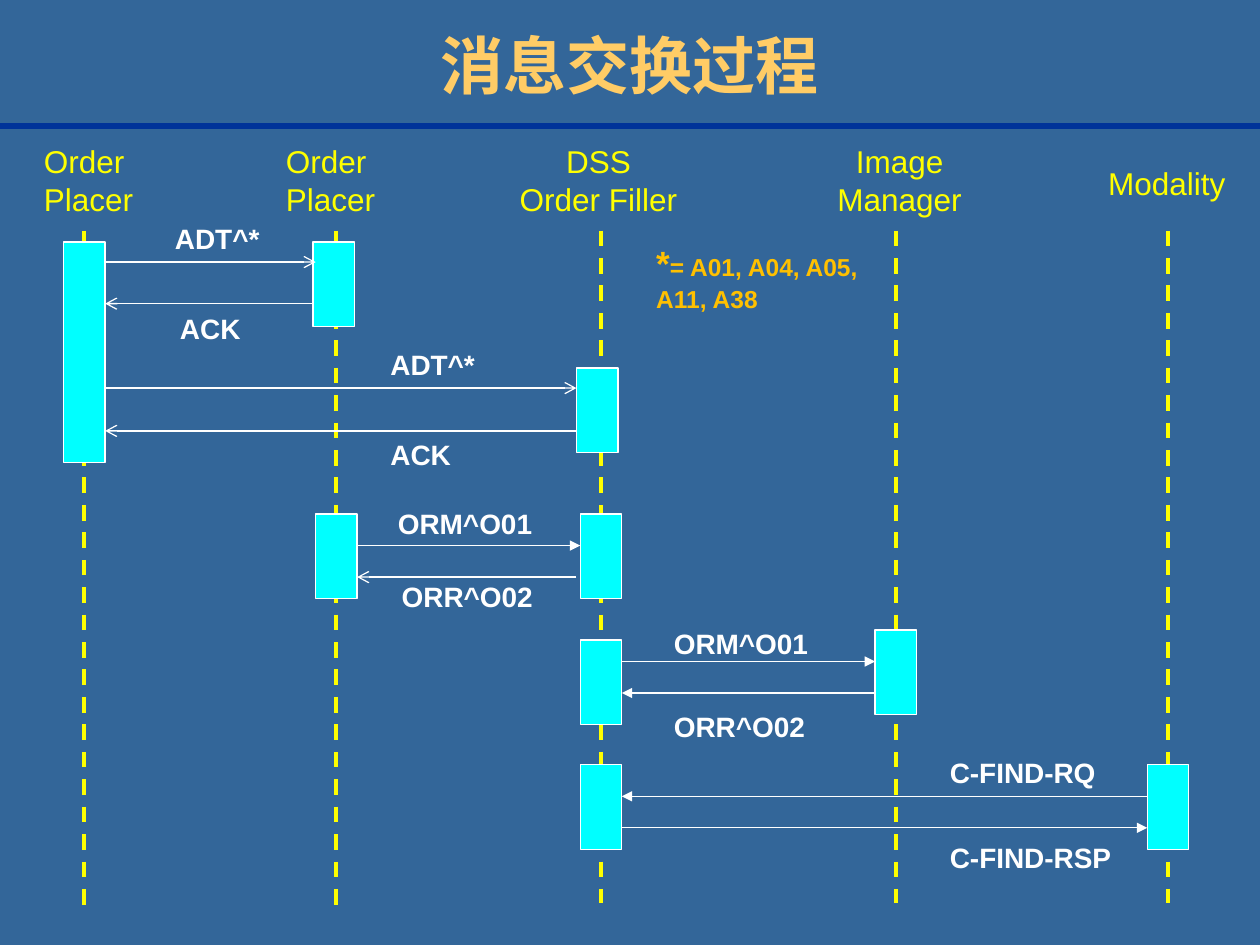
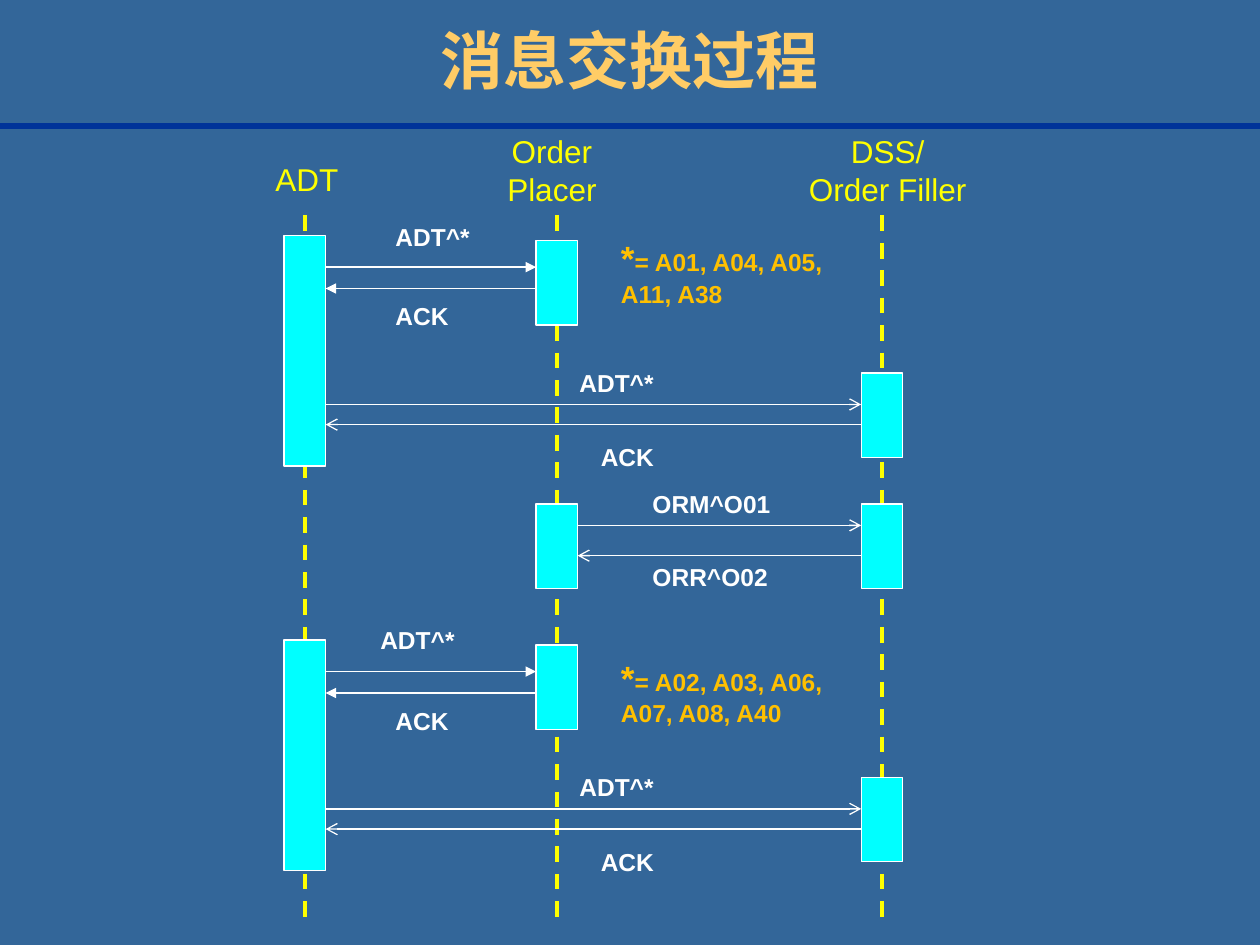
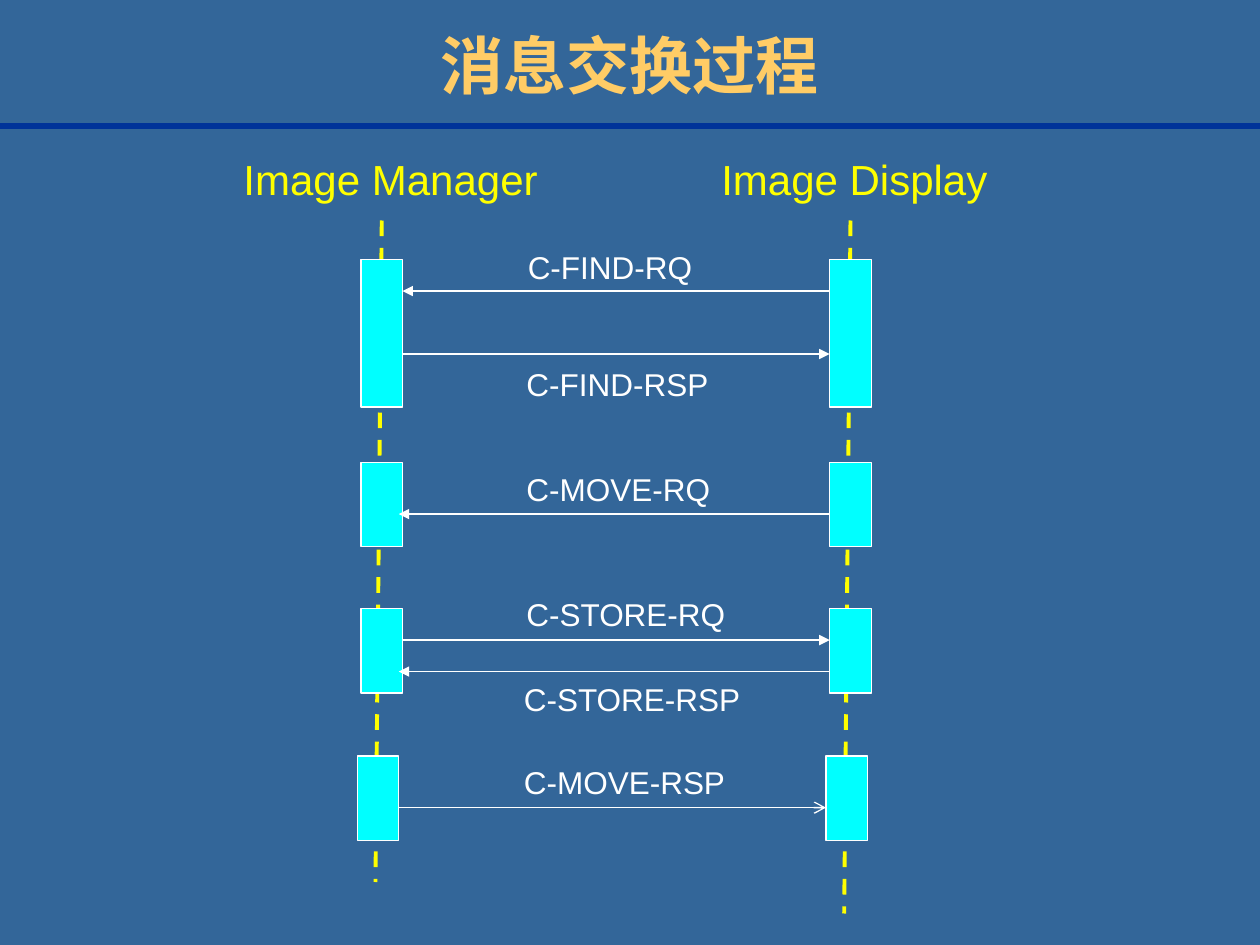
from lxml import etree
from pptx import Presentation
from pptx import util as u
from pptx.dml.color import RGBColor
from pptx.enum import dml, shapes, text
from pptx.oxml.ns import qn

WIDTH, HEIGHT = 10, 7.5
BACKGROUND, RULE, TITLE = "336699", "003399", "FFCC66"
WHITE, YELLOW, CYAN, AMBER = "FFFFFF", "FFFF00", "00FFFF", "FFC000"
BAR = 0.33       # width of an activation bar
STEP = 0.67      # height of a single-exchange bar
LEFT, CENTER = text.PP_ALIGN.LEFT, text.PP_ALIGN.CENTER
hue = RGBColor.from_string


def write(slide, words, left, top, width, height=None, size=18, color=WHITE,
          bold=False, align=LEFT, lead=None):
    """Put text in a box, one paragraph a line; lead sizes the first character."""
    lines = words.split("\n")
    points = size * len(lines) + (lead - size if lead else 0)
    box = slide.shapes.add_textbox(u.Inches(left), u.Inches(top), u.Inches(width),
                                   u.Inches(height or points / 60 + 0.1))
    frame = box.text_frame
    frame.word_wrap = height is not None
    if height:
        frame.vertical_anchor = text.MSO_ANCHOR.MIDDLE
    else:
        frame.auto_size = text.MSO_AUTO_SIZE.SHAPE_TO_FIT_TEXT
    for row, line in enumerate(lines):
        paragraph = frame.add_paragraph() if row else frame.paragraphs[0]
        paragraph.alignment = align
        parts = [(line, size)]
        if lead and row == 0:
            parts = [(line[0], lead), (line[1:], size)]
        for words_part, points in parts:
            run = paragraph.add_run()
            run.text = words_part
            run.font.name = "Arial"
            run.font.size = u.Pt(points)
            run.font.bold = bold
            run.font.color.rgb = hue(color)


def connect(slide, x1, y1, x2, y2, color, weight, head=None, dashed=False):
    line = slide.shapes.add_connector(shapes.MSO_CONNECTOR.STRAIGHT,
                                      *map(u.Inches, (x1, y1, x2, y2)))
    line.line.color.rgb = hue(color)
    line.line.width = u.Pt(weight)
    if dashed:
        line.line.dash_style = dml.MSO_LINE.DASH
    properties = line._element.spPr
    if head:
        etree.SubElement(properties.find(qn("a:ln")), qn("a:tailEnd"), type=head)
    etree.SubElement(properties, qn("a:effectLst"))


# Actors: heading, left, top, width, alignment
# Lifelines: top x, bottom x, top, bottom
# Bars: lane centre, top, height
# Messages: from lane, to lane, y, arrowhead, label, label left, top, width
# Notes: words, left, top
placer, order, filler, manager, modality = 0.67, 2.67, 4.77, 7.11, 9.27
early_order, early_filler = order - 0.02, filler - 0.03
scheduling = dict(
    title_top=0.04, actor_size=18, label_size=16, bold=True,
    actors=[("Order\nPlacer", 0.25, 1.08, 0.92, LEFT),
            ("Order\nPlacer", 2.17, 1.08, 0.92, LEFT),
            ("DSS\nOrder Filler", 4.02, 1.08, 1.46, CENTER),
            ("Image\nManager", 6.52, 1.08, 1.24, CENTER),
            ("Modality", 8.69, 1.25, 1.14, CENTER)],
    lifelines=[(placer, placer, 1.83, 7.25), (order, order, 1.83, 7.25)]
    + [(lane, lane, 1.83, 7.17) for lane in (filler, manager, modality)],
    bars=[(placer, 1.92, 1.75), (early_order, 1.92, STEP), (early_filler, 2.92, STEP),
          (order, 4.08, STEP), (filler, 4.08, STEP), (filler, 5.08, STEP),
          (manager, 5, STEP), (filler, 6.07, STEP), (modality, 6.07, STEP)],
    messages=[
        (placer, order, 2.08, "arrow", "ADT^*", 1.29, 1.71, 0.88),
        (early_order, placer, 2.41, "arrow", "ACK", 1.33, 2.42, 0.69),
        (placer, early_filler, 3.08, "arrow", "ADT^*", 3, 2.71, 0.88),
        (early_filler, placer, 3.42, "arrow", "ACK", 3, 3.42, 0.69),
        (order, filler, 4.33, "triangle", "ORM^O01", 3.06, 3.97, 1.27),
        (early_filler, order, 4.58, "arrow", "ORR^O02", 3.09, 4.55, 1.24),
        (filler, manager, 5.25, "triangle", "ORM^O01", 5.25, 4.92, 1.27),
        (manager, filler, 5.5, "triangle", "ORR^O02", 5.25, 5.58, 1.24),
        (modality, filler, 6.32, "triangle", "C-FIND-RQ", 7.44, 5.95, 1.36),
        (filler, modality, 6.57, "triangle", "C-FIND-RSP", 7.44, 6.62, 1.48)],
    notes=[("*= A01, A04, A05,\nA11, A38", 5.11, 1.87)])

adt, order, filler = 2.42, 4.42, 7
admission = dict(
    title_top=0, actor_size=18, label_size=14, bold=True,
    actors=[("ADT", 2.08, 1.22, 0.71, CENTER),
            ("Order\nPlacer", 3.92, 1, 0.92, CENTER),
            ("DSS/\nOrder Filler", 6.17, 1, 1.75, CENTER)],
    lifelines=[(lane, lane, 1.71, 7.37) for lane in (adt, order, filler)],
    bars=[(order, 4, STEP), (filler, 4, STEP)],
    messages=[(order, filler, 4.17, "arrow", "ORM^O01", 5.08, 3.83, 1.14),
              (filler, order, 4.41, "arrow", "ORR^O02", 5.08, 4.41, 1.12)],
    notes=[("*= A01, A04, A05,\nA11, A38", 4.83, 1.83),
           ("*= A02, A03, A06,\nA07, A08, A40", 4.83, 5.16)])
# The admission exchange runs twice, with its first label moved in the second
for top, label_left, label_top in ((1.87, 3.04, 1.71), (5.08, 2.92, 4.91)):
    admission["bars"] += [(adt, top, 1.83), (order, top + 0.04, STEP),
                          (filler, top + 1.09, STEP)]
    admission["messages"] += [
        (adt, order, top + 0.25, "triangle", "ADT^*", label_left, label_top, 0.8),
        (order, adt, top + 0.42, "triangle", "ACK", 3.04, top + 0.47, 0.63),
        (adt, filler, top + 1.34, "arrow", "ADT^*", 4.5, top + 1, 0.8),
        (filler, adt, top + 1.5, "arrow", "ACK", 4.67, top + 1.59, 0.63)]

manager, display = 3.03, 6.75
late_manager, late_display = manager - 0.03, display - 0.03
retrieval = dict(
    title_top=0.04, actor_size=24, label_size=18, bold=False,
    actors=[("Image Manager", 1.83, 1.17, 2.54, CENTER),
            ("Image Display", 5.62, 1.17, 2.32, CENTER)],
    lifelines=[(manager, 2.98, 1.75, 7), (display, 6.7, 1.75, 7.25)],
    bars=[(lane, top, height) for lane in (manager, display)
          for top, height in ((2.06, 1.17), (3.67, STEP), (4.83, STEP))]
    + [(late_manager, 6, STEP), (late_display, 6, STEP)],
    messages=[
        (display, manager, 2.31, "triangle", "C-FIND-RQ", 4.09, 1.92, 1.51),
        (manager, display, 2.81, "triangle", "C-FIND-RSP", 4.08, 2.85, 1.65),
        (display, late_manager, 4.08, "triangle", "C-MOVE-RQ", 4.08, 3.68, 1.68),
        (manager, display, 5.08, "triangle", "C-STORE-RQ", 4.08, 4.67, 1.8),
        (display, late_manager, 5.33, "triangle", "C-STORE-RSP", 4.06, 5.35, 1.94),
        (late_manager, late_display, 6.41, "arrow", "C-MOVE-RSP", 4.06, 6.01, 1.81)],
    notes=[])

deck = Presentation()
deck.slide_width, deck.slide_height = u.Inches(WIDTH), u.Inches(HEIGHT)

for diagram in (scheduling, admission, retrieval):
    slide = deck.slides.add_slide(deck.slide_layouts[6])
    slide.background.fill.solid()
    slide.background.fill.fore_color.rgb = hue(BACKGROUND)
    connect(slide, 0, 1, WIDTH, 1, RULE, 3)
    write(slide, "消息交换过程", 0.75, diagram["title_top"], 8.5, height=0.94,
          size=36, color=TITLE, bold=True, align=CENTER)

    for top_x, bottom_x, top, bottom in diagram["lifelines"]:
        connect(slide, top_x, top, bottom_x, bottom, YELLOW, 2.25, dashed=True)

    for heading, left, top, width, align in diagram["actors"]:
        write(slide, heading, left, top, width, size=diagram["actor_size"],
              color=YELLOW, align=align)

    for lane, top, height in diagram["bars"]:
        bar = slide.shapes.add_shape(
            shapes.MSO_SHAPE.RECTANGLE,
            *map(u.Inches, (lane - BAR / 2, top, BAR, height)))
        bar.shadow.inherit = False
        bar.fill.solid()
        bar.fill.fore_color.rgb = hue(CYAN)
        bar.line.color.rgb = hue(WHITE)
        bar.line.width = u.Pt(0.75)

    for start, end, y, head, label, left, top, width in diagram["messages"]:
        edge = BAR / 2 if start < end else -BAR / 2
        connect(slide, start + edge, y, end - edge, y, WHITE, 0.75, head=head)
        write(slide, label, left, top, width, size=diagram["label_size"],
              bold=diagram["bold"])

    for words, left, top in diagram["notes"]:
        write(slide, words, left, top, 1.81, size=14, lead=20, color=AMBER, bold=True)

deck.save("out.pptx")
